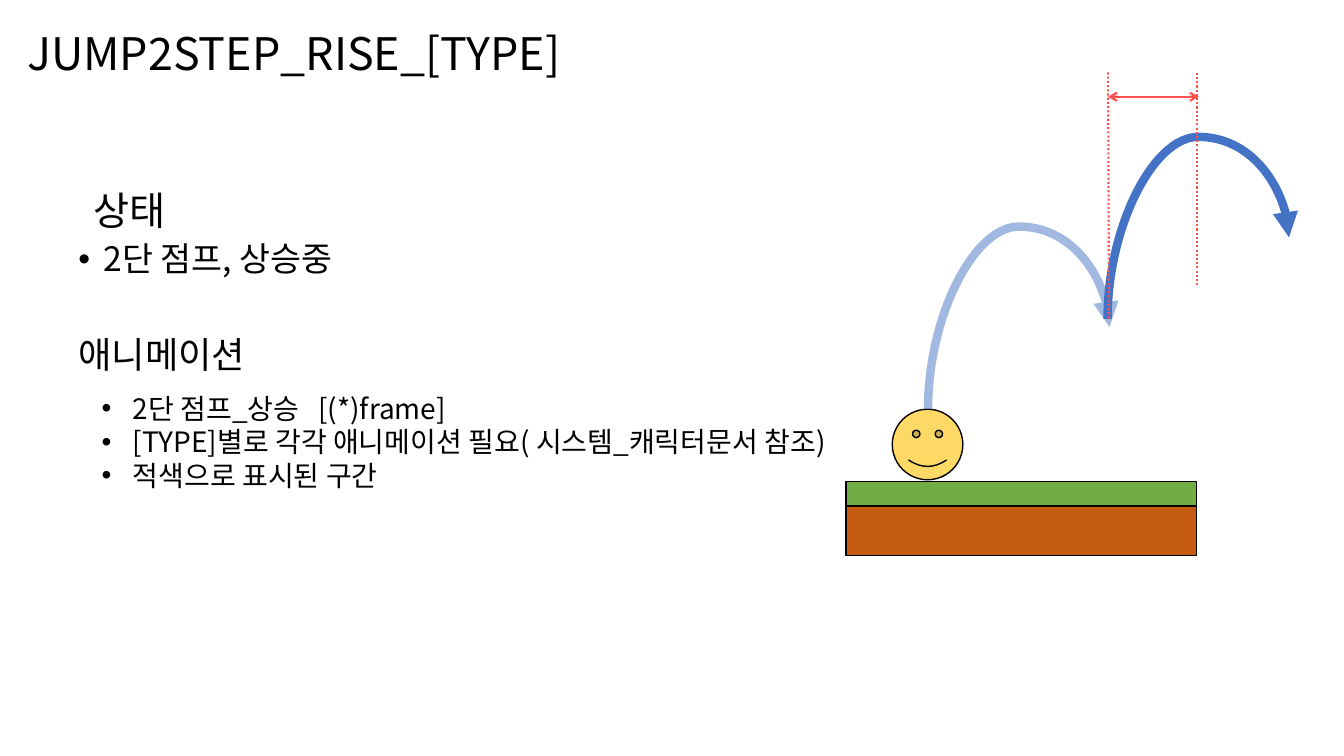
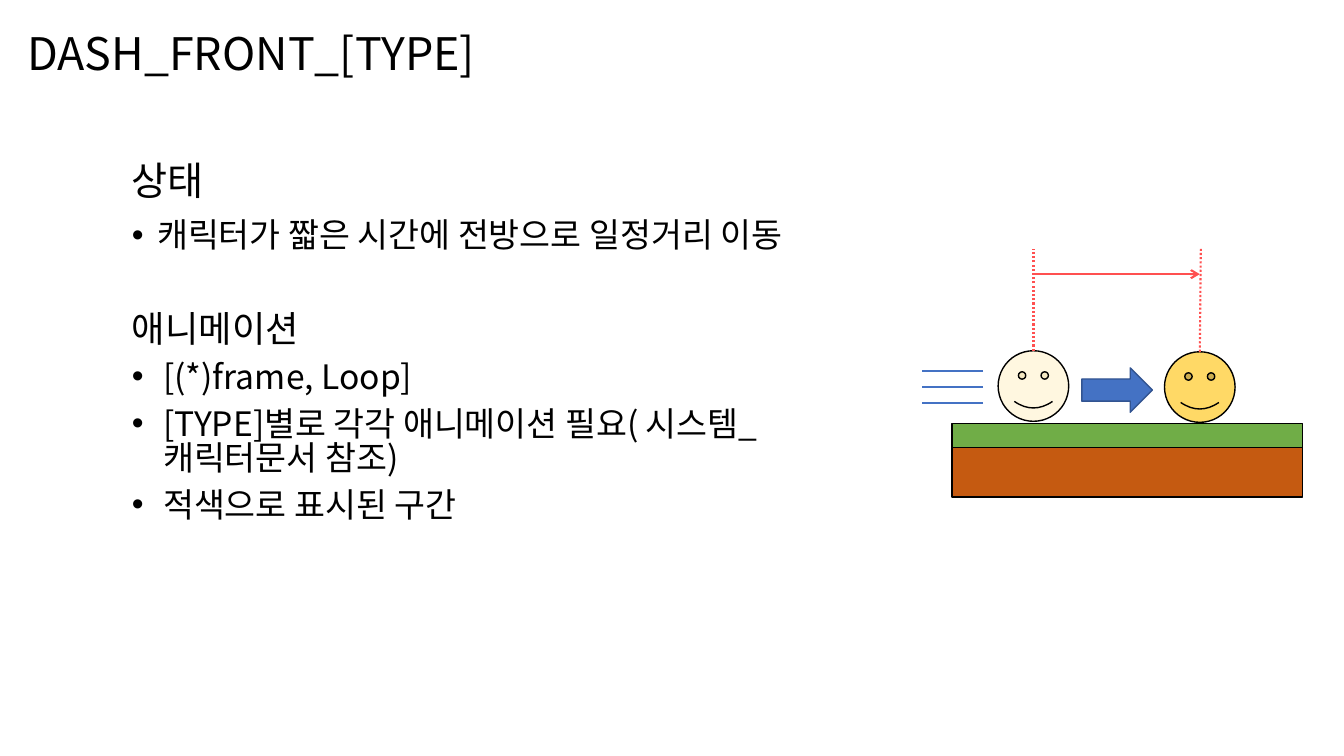
"""Build two slides that describe character jump and dash animations."""
from dataclasses import dataclass

from lxml import etree
from pptx import Presentation
from pptx.dml.color import RGBColor
from pptx.enum.dml import MSO_LINE
from pptx.enum.shapes import MSO_CONNECTOR, MSO_SHAPE
from pptx.enum.text import MSO_ANCHOR, MSO_AUTO_SIZE, PP_ALIGN
from pptx.oxml.ns import qn
from pptx.util import Emu, Pt

PX = 9144
FONT = "Noto Sans CJK KR"
BLACK, RED, BLUE, BLUE_EDGE = "000000", "FF5050", "4472C4", "325491"
GRASS, SOIL, SKIN = "70AD47", "C55A11", "FFD966"
RECT, SMILEY, RIGHT_ARROW = MSO_SHAPE.RECTANGLE, MSO_SHAPE.SMILEY_FACE, MSO_SHAPE.RIGHT_ARROW
STRAIGHT, CURVE = MSO_CONNECTOR.STRAIGHT, MSO_CONNECTOR.CURVE
DOTTED = MSO_LINE.ROUND_DOT
MIDDLE, LEFT, NO_FIT = MSO_ANCHOR.MIDDLE, PP_ALIGN.LEFT, MSO_AUTO_SIZE.NONE
TITLE_ONLY = 5
FACE = 70


@dataclass
class TextBlock:
    """A text box with one style for all its paragraphs."""
    box: tuple[int, int, int, int]
    lines: list[str]
    size: float
    spacing: float = 0.9
    before: int = 10
    indent: int = 0


@dataclass
class Stroke:
    """A straight line between two points."""
    start: tuple[int, int]
    end: tuple[int, int]
    color: str = RED
    dotted: bool = False
    head: str = ""
    tail: str = ""


def px(value: int) -> Emu:
    """Turn px into EMU."""
    return Emu(value * PX)


def rgb(value: str) -> RGBColor:
    """Turn a hex string into a colour."""
    return RGBColor.from_string(value)


def sub(parent, tag: str, **attrs: str):
    """Append a child element with attributes."""
    return etree.SubElement(parent, qn(tag), attrs)


def set_alpha(element, percent: int) -> None:
    """Make the colour inside an element partly transparent."""
    sub(next(element.iter(qn("a:srgbClr"))), "a:alpha", val=str(percent * 1000))


def style_paragraph(p, size: float, spacing: float) -> None:
    """Set the line spacing and the font of a paragraph."""
    p.line_spacing = spacing
    for r in p.runs:
        r.font.size = Pt(size)
        r.font.name = FONT
        r.font.color.rgb = rgb(BLACK)
        sub(r.font._element, "a:ea", typeface=FONT)


def add_slide(prs, title: str):
    """Add a slide with the shared title style."""
    s = prs.slides.add_slide(prs.slide_layouts[TITLE_ONLY])
    sp = s.shapes.title
    sp.left, sp.top, sp.width, sp.height = map(px, (17, 15, 1150, 81))
    tf = sp.text_frame
    tf.text = title
    tf.auto_size = NO_FIT
    tf.vertical_anchor = MIDDLE
    tf.paragraphs[0].alignment = LEFT
    style_paragraph(tf.paragraphs[0], 32, 0.9)
    return s


def add_text(s, block: TextBlock) -> None:
    """Add a text box, bulleted when the block has an indent."""
    tf = s.shapes.add_textbox(*map(px, block.box)).text_frame
    tf.word_wrap = True
    for i, line in enumerate(block.lines):
        p = tf.add_paragraph() if i else tf.paragraphs[0]
        p.text = line
        p.space_before = Pt(block.before)
        style_paragraph(p, block.size, block.spacing)
        if block.indent:
            ppr = p._p.get_or_add_pPr()
            ppr.set("marL", str(px(block.indent)))
            ppr.set("indent", str(px(-block.indent)))
            sub(ppr, "a:buFont", typeface="Arial")
            sub(ppr, "a:buChar", char="•")


def add_shape(shapes, kind, box: tuple[int, int, int, int], fill: str, line: str = BLACK):
    """Add a filled preset shape with a thin outline."""
    sp = shapes.add_shape(kind, *map(px, box))
    sp.shadow.inherit = False
    sp.fill.solid()
    sp.fill.fore_color.rgb = rgb(fill)
    sp.line.color.rgb = rgb(line)
    sp.line.width = Pt(1)
    return sp


def add_ground(s, left: int, top: int) -> None:
    """Add the grouped grass and soil."""
    shapes = s.shapes.add_group_shape().shapes
    add_shape(shapes, RECT, (left, top, 348, 24), GRASS)
    add_shape(shapes, RECT, (left, top + 24, 348, 49), SOIL)


def add_face(s, left: int, top: int):
    """Add the round character."""
    return add_shape(s.shapes, SMILEY, (left, top, FACE, FACE), SKIN)


def format_line(cxn, color: str, width: float, head: str = "", tail: str = "") -> None:
    """Set colour, width and arrowheads, and drop the shadow."""
    cxn.line.color.rgb = rgb(color)
    cxn.line.width = Pt(width)
    ln = cxn.line._get_or_add_ln()
    for tag, kind in (("a:headEnd", head), ("a:tailEnd", tail)):
        if kind:
            sub(ln, tag, type=kind)
    sub(cxn._element.spPr, "a:effectLst")


def add_stroke(s, stroke: Stroke) -> None:
    """Add a straight line, dotted if asked."""
    cxn = s.shapes.add_connector(STRAIGHT, *map(px, stroke.start + stroke.end))
    if stroke.dotted:
        cxn.line.dash_style = DOTTED
    format_line(cxn, stroke.color, 1.5, stroke.head, stroke.tail)


def add_jump(s, left: int, top: int, alpha: int = 100) -> None:
    """Add a jump arc as a curved connector turned by 90 degrees."""
    cxn = s.shapes.add_connector(CURVE, *map(px, (left + 81, top + 180, left, top)))
    spPr = cxn._element.spPr
    spPr.find(qn("a:xfrm")).set("rot", "5400000")
    guides = next(spPr.iter(qn("a:avLst")))
    sub(guides, "a:gd", name="adj1", fmla="val 223100")
    format_line(cxn, BLUE, 6, tail="triangle")
    if alpha < 100:
        set_alpha(cxn.line._get_or_add_ln(), alpha)


def build_jump(prs) -> None:
    """Build the rising double jump slide."""
    s = add_slide(prs, "JUMP2STEP_RISE_[TYPE]")
    add_ground(s, 839, 478)
    add_face(s, 885, 406)
    add_jump(s, 970, 275, 50)
    add_jump(s, 1148, 186)
    for stroke in (
        Stroke((1100, 316), (1099, 71), dotted=True),
        Stroke((1187, 283), (1187, 71), dotted=True),
        Stroke((1189, 96), (1099, 96), head="arrow", tail="arrow"),
    ):
        add_stroke(s, stroke)
    for block in (
        TextBlock((68, 236, 546, 54), ["2단 점프, 상승중"], 24, indent=25),
        TextBlock((68, 337, 203, 43), ["애니메이션"], 25.9, 0.7),
        TextBlock((91, 383, 792, 111), [
            "2단 점프_상승   [(*)frame]",
            "[TYPE]별로 각각 애니메이션 필요( 시스템_캐릭터문서 참조)",
            "적색으로 표시된 구간",
        ], 20, 1.0, 0, 31),
        TextBlock((83, 185, 107, 54), ["상태"], 28),
    ):
        add_text(s, block)


def build_dash(prs) -> None:
    """Build the forward dash slide."""
    s = add_slide(prs, "DASH_FRONT_[TYPE]")
    add_ground(s, 944, 420)
    set_alpha(add_face(s, 990, 348).fill._xPr, 20)
    add_shape(s.shapes, RIGHT_ARROW, (1073, 365, 70, 44), BLUE, BLUE_EDGE)
    add_face(s, 1155, 349)
    speed_lines = [Stroke((975, y), (914, y), BLUE) for y in range(368, 401, 16)]
    for stroke in speed_lines + [
        Stroke((1025, 348), (1025, 247), dotted=True),
        Stroke((1190, 349), (1191, 247), dotted=True),
        Stroke((1025, 272), (1190, 272), tail="arrow"),
    ]:
        add_stroke(s, stroke)
    for block in (
        TextBlock((121, 354, 712, 172), [
            "[(*)frame, Loop]",
            "[TYPE]별로 각각 애니메이션 필요( 시스템_캐릭터문서 참조)",
            "적색으로 표시된 구간",
        ], 24, 0.85, 9, 31),
        TextBlock((121, 212, 759, 58), ["캐릭터가 짧은 시간에 전방으로 일정거리 이동"], 24, indent=25),
        TextBlock((121, 311, 203, 43), ["애니메이션"], 25.9, 0.7),
        TextBlock((121, 155, 107, 54), ["상태"], 28),
    ):
        add_text(s, block)


def main() -> None:
    """Build and save the presentation."""
    prs = Presentation()
    prs.slide_width, prs.slide_height = px(1333), px(750)
    build_jump(prs)
    build_dash(prs)
    prs.save("out.pptx")


if __name__ == "__main__":
    main()
